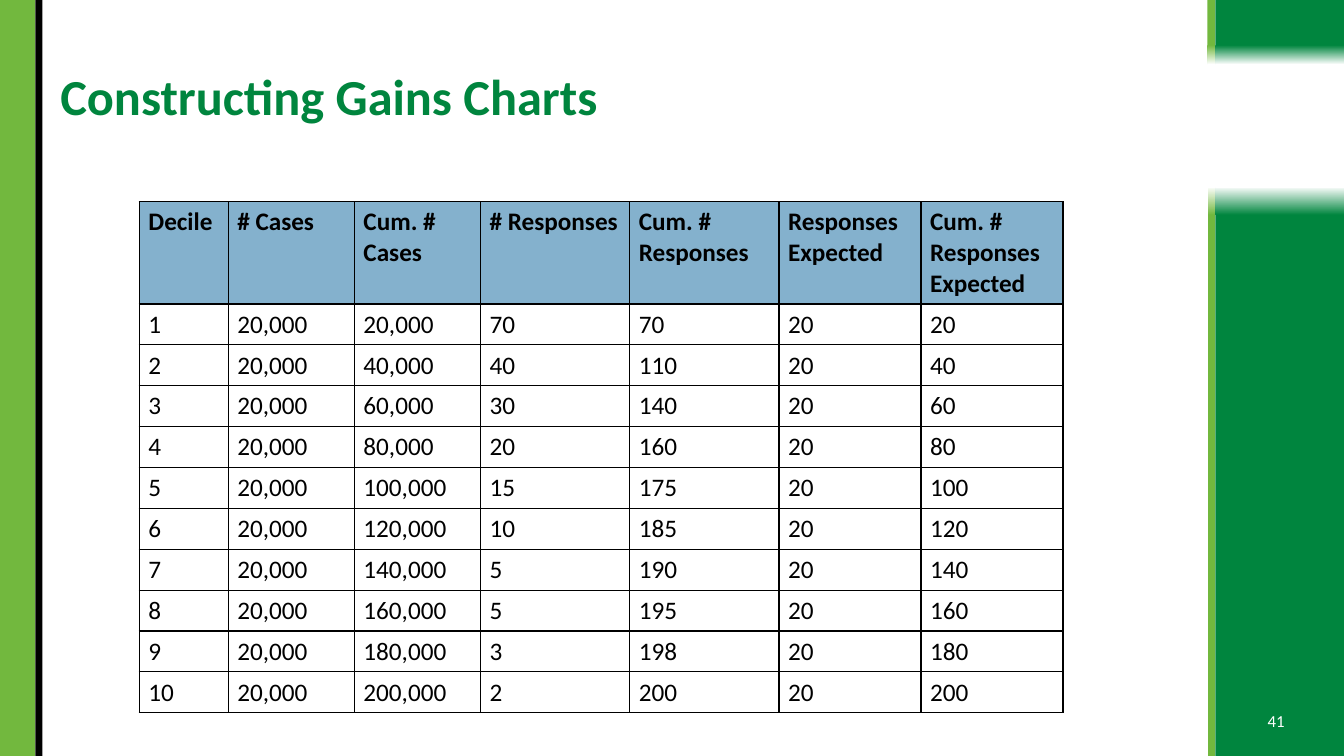
from itertools import accumulate

from lxml import etree
from pptx import Presentation, util as u
from pptx.dml import color
from pptx.enum import shapes, text
from pptx.oxml import ns

GREEN, LIME, BLACK, WHITE, BLUE = "00853E", "72B83E", "000000", "FFFFFF", "84B1CD"
PAGE_WIDTH, PAGE_HEIGHT = 33.87, 19.05
BLANK_LAYOUT = 6
HEADINGS = ["Decile", "# Cases", "Cum. # Cases", "# Responses", "Cum. # Responses",
            "Responses Expected", "Cum. # Responses Expected"]
COLUMN_WIDTHS = [2.24, 3.18, 3.18, 3.76, 3.76, 3.58, 3.58]
RESPONSES = [70, 40, 30, 20, 15, 10, 5, 5, 3, 2]
CASES_PER_DECILE, EXPECTED_PER_DECILE = 20000, 20
HEADER_HEIGHT, ROW_HEIGHT = 2.58, 1.03


def rgb(value):
    """Turn a hex string into a colour."""
    return color.RGBColor.from_string(value)


def write(frame, words, size=18, ink=BLACK, bold=False, align=None, spacing=None):
    """Put one formatted paragraph into a text frame."""
    frame.word_wrap = True
    para = frame.paragraphs[0]
    para.alignment = align
    para.line_spacing = spacing
    span = para.add_run()
    span.text = words
    span.font.name = "Calibri"
    span.font.size = u.Pt(size)
    span.font.bold = bold
    span.font.color.rgb = rgb(ink)


def add_text(page, left, top, width, height, words, **style):
    """Add a text box with its words centred vertically."""
    box = page.shapes.add_textbox(u.Cm(left), u.Cm(top), u.Cm(width), u.Cm(height))
    box.text_frame.vertical_anchor = text.MSO_ANCHOR.MIDDLE
    write(box.text_frame, words, **style)


def add_bar(page, left, top, width, height, tint, fade_from=None, rotation=0):
    """Add a bar, solid or fading to white from a given position."""
    bar = page.shapes.add_shape(shapes.MSO_SHAPE.RECTANGLE, u.Cm(left), u.Cm(top),
                                u.Cm(width), u.Cm(height))
    bar.shadow.inherit = False
    bar.line.fill.background()
    bar.rotation = rotation
    if fade_from is None:
        bar.fill.solid()
        bar.fill.fore_color.rgb = rgb(tint)
        return
    bar.fill.gradient()
    bar.fill.gradient_angle = 270
    stops = zip(bar.fill.gradient_stops, (tint, WHITE), (fade_from, 1))
    for stop, stop_tint, position in stops:
        stop.color.rgb = rgb(stop_tint)
        stop.position = position


def add_borders(cell, ink=BLACK, points=1):
    """Draw a line on all four sides of a table cell."""
    properties = cell._tc.get_or_add_tcPr()
    for index, side in enumerate(("lnL", "lnR", "lnT", "lnB")):
        line = etree.Element(ns.qn(f"a:{side}"), w=str(u.Pt(points)))
        fill = etree.SubElement(line, ns.qn("a:solidFill"))
        etree.SubElement(fill, ns.qn("a:srgbClr"), val=ink)
        properties.insert(index, line)


def gains_rows():
    """Return the table rows with their running totals."""
    count = len(RESPONSES)
    cases = [CASES_PER_DECILE] * count
    expected = [EXPECTED_PER_DECILE] * count
    columns = [range(1, count + 1), cases, accumulate(cases), RESPONSES,
               accumulate(RESPONSES), expected, accumulate(expected)]
    return [HEADINGS] + [[f"{value:,}" for value in row] for row in zip(*columns)]


def add_gains_table(page, left, top):
    """Add the bordered gains table."""
    rows = gains_rows()
    height = HEADER_HEIGHT + ROW_HEIGHT * len(RESPONSES)
    table = page.shapes.add_table(len(rows), len(HEADINGS), u.Cm(left), u.Cm(top),
                                  u.Cm(sum(COLUMN_WIDTHS)), u.Cm(height)).table
    table.first_row = table.horz_banding = False
    for column, width in zip(table.columns, COLUMN_WIDTHS):
        column.width = u.Cm(width)
    for index, values in enumerate(rows):
        is_header = index == 0
        table.rows[index].height = u.Cm(HEADER_HEIGHT if is_header else ROW_HEIGHT)
        for cell, words in zip(table.rows[index].cells, values):
            cell.margin_left = cell.margin_right = u.Cm(0.23)
            cell.margin_top = cell.margin_bottom = u.Cm(0.13)
            if is_header:
                cell.fill.solid()
                cell.fill.fore_color.rgb = rgb(BLUE)
            else:
                cell.fill.background()
            add_borders(cell)
            write(cell.text_frame, words, bold=is_header)


def main():
    """Build and save the slide."""
    deck = Presentation()
    deck.slide_width, deck.slide_height = u.Cm(PAGE_WIDTH), u.Cm(PAGE_HEIGHT)
    page = deck.slides.add_slide(deck.slide_layouts[BLANK_LAYOUT])
    for left, width, tint in ((30.63, 3.24, GREEN), (30.43, 0.2, LIME)):
        add_bar(page, left, 0, width, 1.63, tint, fade_from=0.7)
        add_bar(page, left, 4.7, width, 14.35, tint, fade_from=0.95, rotation=180)
    add_bar(page, 0, 0, 0.89, PAGE_HEIGHT, LIME)
    add_bar(page, 0.89, 0, 0.18, PAGE_HEIGHT, BLACK)
    add_text(page, 1.27, 1.02, 28.96, 2.95, "Constructing Gains Charts",
             size=36, ink=GREEN, bold=True, spacing=0.9)
    add_gains_table(page, 3.51, 5.08)
    add_text(page, 31.5, 17.65, 1.32, 1.02, "41", size=12, ink=WHITE,
             align=text.PP_ALIGN.CENTER)
    deck.save("out.pptx")


if __name__ == "__main__":
    main()
